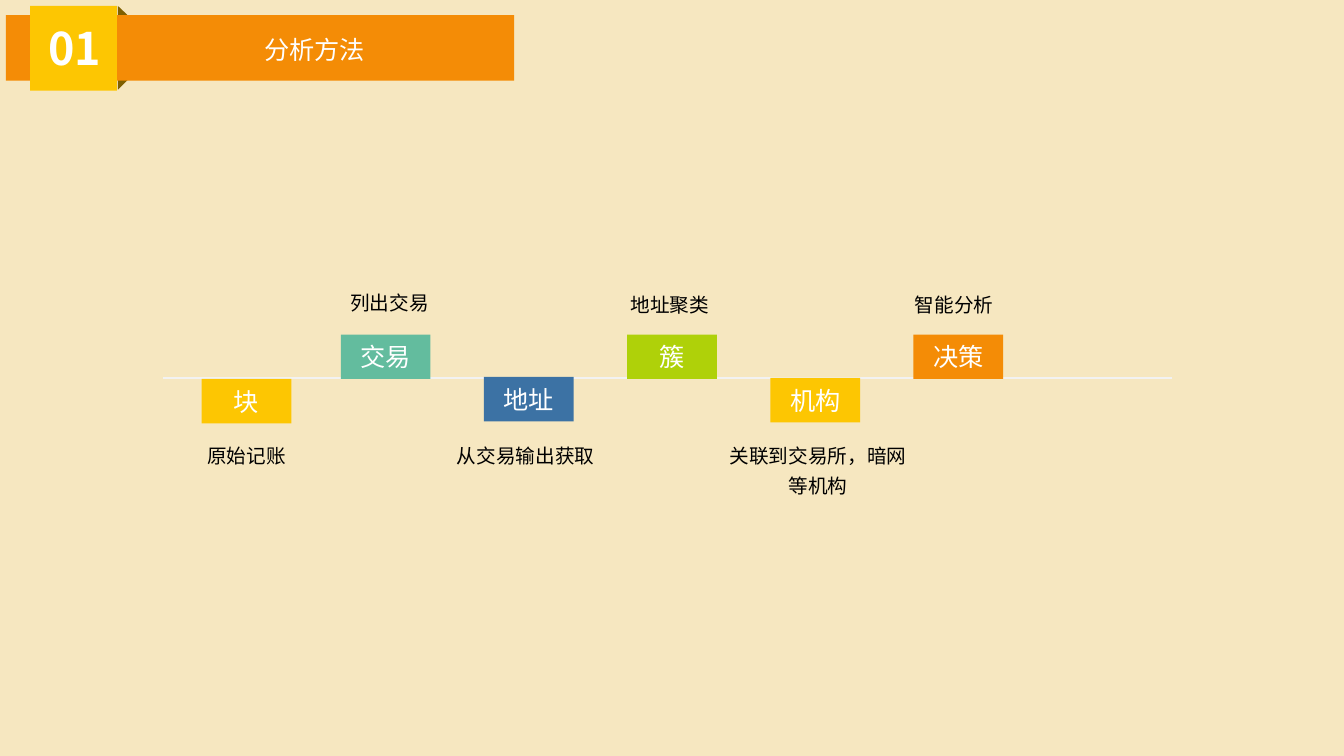
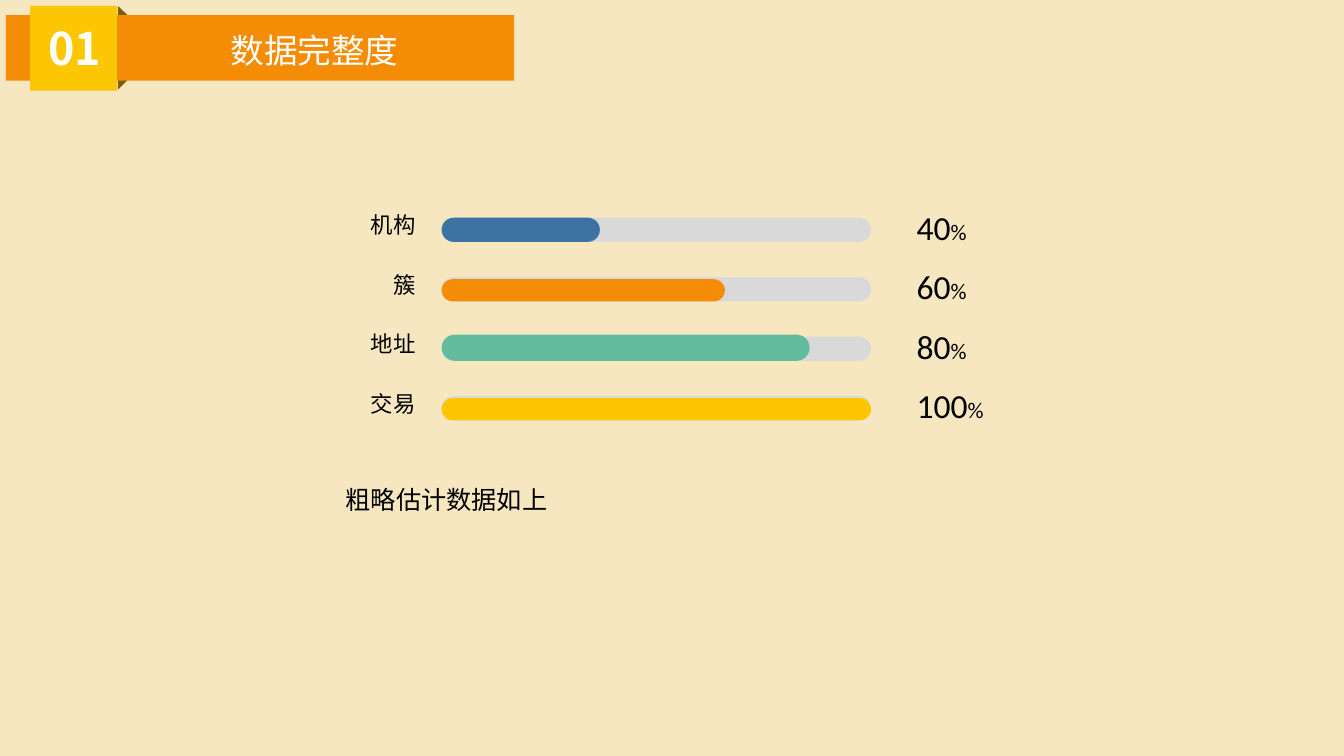
"""Build two slides on the analysis method and the completeness of its data."""
from lxml.etree import SubElement
from pptx import Presentation
from pptx.dml.color import RGBColor
from pptx.enum.shapes import MSO_CONNECTOR as Connector, MSO_SHAPE as Shape
from pptx.enum.text import MSO_ANCHOR as Anchor, PP_ALIGN as Align
from pptx.oxml.ns import qn
from pptx.util import Inches, Pt

COLORS = {
    "background": "F6E7C0", "orange": "F48C06", "yellow": "FDC602",
    "green": "63BC9E", "lime": "AFD109", "blue": "3C72A4",
    "fold": "7F6000", "axis": "F2F2F2", "track": "D9D9D9",
    "white": "FFFFFF", "black": "000000",
}
CJK = "Noto Sans CJK SC"

STEPS = [
    ("块", "yellow", 2, 3.76, "原始记账", 1.51, 4.33),
    ("交易", "green", 3.38, 3.32, "列出交易", 2.93, 2.21),
    ("地址", "blue", 4.8, 3.74, "从交易输出获取", 4.28, 4.33),
    ("簇", "lime", 6.22, 3.32, "地址聚类", 5.71, 2.23),
    ("机构", "yellow", 7.64, 3.75, "关联到交易所，暗网等机构", 7.18, 4.33),
    ("决策", "orange", 9.06, 3.32, "智能分析", 8.53, 2.23),
]
AXIS_TOP = 3.75

LEVELS = [
    ("机构", "40", "blue", 1.57, 0.24),
    ("簇", "60", "orange", 2.81, 0.22),
    ("地址", "80", "green", 3.65, 0.26),
    ("交易", "100", "yellow", 4.26, 0.22),
]
ROW_TOP, ROW_PITCH = 2.16, 0.59
TRACK_LEFT, TRACK_WIDTH, TRACK_HEIGHT = 4.38, 4.26, 0.24


def color(key):
    return RGBColor.from_string(COLORS[key])


class Deck:
    """Holds the shared style and the current slide."""

    def __init__(self):
        self.prs = Presentation()
        self.prs.slide_width, self.prs.slide_height = Inches(13.33), Inches(7.5)
        backdrop = self.prs.slide_master.background.fill
        backdrop.solid()
        backdrop.fore_color.rgb = color("background")
        self.slide = None

    def style(self, paragraph, size, ink="black", font=CJK, align=Align.LEFT,
              bold=False, spacing=None):
        paragraph.alignment = align
        if spacing:
            paragraph.line_spacing = spacing
        paragraph.font.size = Pt(size) if size else None
        paragraph.font.bold = bold
        paragraph.font.color.rgb = color(ink)
        paragraph.font.name = font
        defaults = paragraph.font._element
        SubElement(defaults, qn("a:ea")).set("typeface", font)

    def block(self, preset, left, top, width, height, fill):
        block = self.slide.shapes.add_shape(
            preset, Inches(left), Inches(top), Inches(width), Inches(height))
        block.shadow.inherit = False
        block.fill.solid()
        block.fill.fore_color.rgb = color(fill)
        block.line.fill.background()
        return block

    def tag(self, label, left, top, fill):
        tag = self.block(Shape.RECTANGLE, left, top, 0.89, 0.44, fill)
        tag.text_frame.text = label
        self.style(tag.text_frame.paragraphs[0], 18, "white", "Montserrat", Align.CENTER)

    def bar(self, left, top, width, height, fill):
        bar = self.block(Shape.ROUNDED_RECTANGLE, left, top, width, height, fill)
        bar.adjustments[0] = 0.5

    def text(self, runs, left, top, width, height, size=None, anchor=Anchor.TOP,
             inset=True, wrap=True, **look):
        frame = self.slide.shapes.add_textbox(
            Inches(left), Inches(top), Inches(width), Inches(height)).text_frame
        frame.word_wrap = wrap
        frame.vertical_anchor = anchor
        if not inset:
            frame.margin_left = frame.margin_right = 0
            frame.margin_top = frame.margin_bottom = 0
        paragraph = frame.paragraphs[0]
        for content, run_size in runs:
            run = paragraph.add_run()
            run.text = content
            if run_size:
                run.font.size = Pt(run_size)
        self.style(paragraph, size, **look)

    def line(self, left, right, top, ink, weight):
        line = self.slide.shapes.add_connector(
            Connector.STRAIGHT, Inches(left), Inches(top), Inches(right), Inches(top))
        line.line.color.rgb = color(ink)
        line.line.width = Pt(weight)
        SubElement(line.element.spPr, qn("a:effectLst"))

    def new_slide(self, heading, size):
        self.slide = self.prs.slides.add_slide(self.prs.slide_layouts[5])
        self.block(Shape.RIGHT_TRIANGLE, 1.17, 0.06, 0.19, 0.18, "fold")
        lower_fold = self.block(Shape.RIGHT_TRIANGLE, 1.17, 0.71, 0.18, 0.18, "fold")
        lower_fold.rotation = 90
        band = self.block(Shape.RECTANGLE, 0.06, 0.15, 5.04, 0.65, "orange")
        self.block(Shape.RECTANGLE, 0.3, 0.06, 0.86, 0.84, "yellow")
        self.text([("01", None)], 0.36, 0.16, 0.76, 0.64, 32, wrap=False,
                  ink="white", align=Align.CENTER, bold=True)
        title = self.slide.shapes.title
        title.left, title.top = Inches(0.92), Inches(0.22)
        title.width, title.height = Inches(4.4), Inches(0.55)
        title.text_frame.text = heading
        title.text_frame.vertical_anchor = Anchor.MIDDLE
        self.style(title.text_frame.paragraphs[0], size, "white", align=Align.CENTER)
        band.element.addnext(title.element)


def build_method(deck):
    deck.new_slide("分析方法", 18)
    deck.line(1.62, 11.62, AXIS_TOP, "axis", 1.75)
    for step, fill, left, top, caption, caption_left, caption_top in STEPS:
        deck.tag(step, left, top, fill)
        anchor = Anchor.BOTTOM if caption_top < AXIS_TOP else Anchor.TOP
        deck.text([(caption, None)], caption_left, caption_top, 1.87, 0.91, 14,
                  anchor, inset=False, align=Align.CENTER, spacing=1.3)


def build_completeness(deck):
    deck.new_slide("数据完整度", 24)
    for row, (level, percent, fill, width, height) in enumerate(LEVELS):
        top = ROW_TOP + row * ROW_PITCH
        deck.bar(TRACK_LEFT, top, TRACK_WIDTH, TRACK_HEIGHT, "track")
        deck.bar(TRACK_LEFT, top + TRACK_HEIGHT - height, width, height, fill)
        deck.text([(level, None)], 3.22, top - 0.13, 1, 0.4, 16,
                  Anchor.MIDDLE, align=Align.RIGHT)
        deck.text([(percent, 24), ("%", 16)], 9.09, top - 0.1, 0.79, 0.38,
                  anchor=Anchor.MIDDLE, inset=False, font="Calibri")
    deck.text([("粗略估计数据如上", None)], 3.33, 4.67, 6.55, 1.39, 18,
              font="Arial", align=Align.JUSTIFY, spacing=1.3)


def main():
    deck = Deck()
    build_method(deck)
    build_completeness(deck)
    deck.prs.save("out.pptx")


if __name__ == "__main__":
    main()
